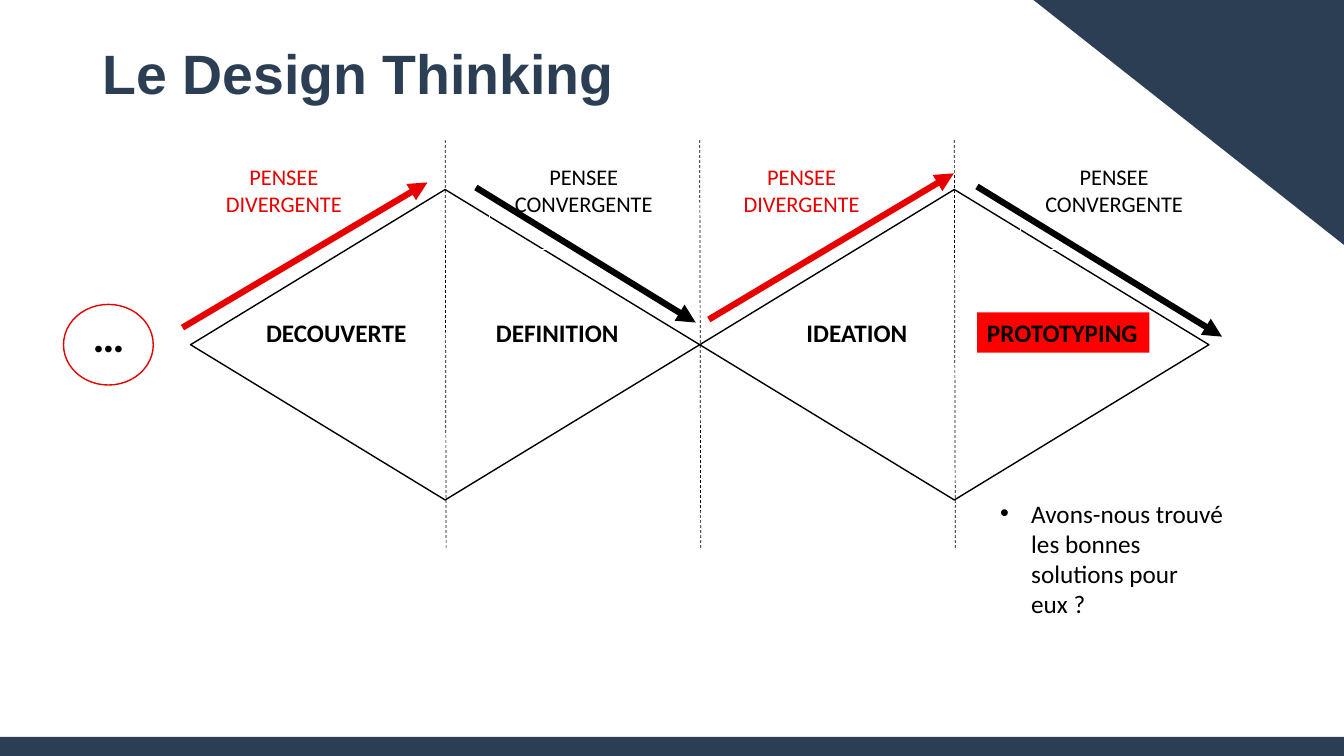
from lxml import etree
from pptx import Presentation
from pptx.dml.color import RGBColor
from pptx.enum.dml import MSO_LINE
from pptx.enum.shapes import MSO_CONNECTOR, MSO_SHAPE
from pptx.enum.text import MSO_ANCHOR, MSO_AUTO_SIZE, PP_ALIGN
from pptx.oxml.ns import qn
from pptx.util import Inches, Pt

LEFT, CENTER = PP_ALIGN.LEFT, PP_ALIGN.CENTER
MIDDLE = MSO_ANCHOR.MIDDLE
GROW = MSO_AUTO_SIZE.SHAPE_TO_FIT_TEXT
DASH = MSO_LINE.DASH
STRAIGHT = MSO_CONNECTOR.STRAIGHT
RECT, OVAL = MSO_SHAPE.RECTANGLE, MSO_SHAPE.OVAL
CORNER, DIAMOND = MSO_SHAPE.RIGHT_TRIANGLE, MSO_SHAPE.FLOWCHART_DECISION

COLORS = {"navy": "2B3E54", "red": "E60000", "mark": "FF0000",
          "black": "000000", "white": "FFFFFF"}
WIDE, HIGH = 13.33, 7.5


def color(name):
    return RGBColor.from_string(COLORS[name])


def add_box(slide, kind, box, fill=None, line=None, width=1):
    shape = slide.shapes.add_shape(kind, *map(Inches, box))
    shape.shadow.inherit = False
    if fill:
        shape.fill.solid()
        shape.fill.fore_color.rgb = color(fill)
    else:
        shape.fill.background()
    if line:
        shape.line.color.rgb = color(line)
        shape.line.width = Pt(width)
    else:
        shape.line.fill.background()
    return shape


def add_line(slide, start, end, ink, width, dash=None, arrow=False):
    line = slide.shapes.add_connector(STRAIGHT, *map(Inches, (*start, *end)))
    line.line.color.rgb = color(ink)
    line.line.width = Pt(width)
    if dash:
        line.line.dash_style = dash
    if arrow:
        stroke = line.line._get_or_add_ln()
        etree.SubElement(stroke, qn("a:tailEnd"), type="triangle")
    etree.SubElement(line._element.spPr, qn("a:effectLst"))


def write(shape, text, size, ink="black", bold=False, align=LEFT, wrap=True):
    frame = shape.text_frame
    frame.word_wrap = wrap
    frame.auto_size = GROW
    frame.vertical_anchor = MSO_ANCHOR.TOP
    para = frame.paragraphs[0]
    para.text = text
    para.alignment = align
    font = para.font
    font.name, font.size, font.bold = "Calibri", Pt(size), bold
    font.color.rgb = color(ink)
    return para


def add_text(slide, box, *args, **style):
    shape = slide.shapes.add_textbox(*map(Inches, box))
    return write(shape, *args, **style)


def add_decor(slide):
    corner = add_box(slide, CORNER, (WIDE - 3.08, 0, 3.08, 2.43), "navy")
    corner.rotation = 180
    add_box(slide, RECT, (0, HIGH - 0.19, WIDE, 0.19), "navy")


def add_title(slide, box):
    title = slide.shapes.title
    title.left, title.top, title.width, title.height = map(Inches, box)
    frame = title.text_frame
    frame.vertical_anchor = MIDDLE
    para = frame.paragraphs[0]
    para.text = "Le Design Thinking"
    para.alignment = LEFT
    para.line_spacing = 0.9
    font = para.font
    font.name, font.size, font.bold = "Arial", Pt(39.6), True
    font.color.rgb = color("navy")


def add_frame(slide, box):
    """Two touching diamonds, cut into four phases by dashed lines."""
    left, top, width, height = box
    pitch = width / 2
    for i in range(2):
        place = (left + i * pitch, top, pitch, height)
        add_box(slide, DIAMOND, place, "white", "black")
    for i in range(1, 4):
        x = left + i * width / 4
        add_line(slide, (x, top - 0.49), (x + 0.01, top + height + 0.49),
                 "black", 0.5, dash=DASH)


def add_phases(slide, top):
    phases = [("DECOUVERTE", 2.54, 1.61), ("DEFINITION", 4.82, 1.43),
              ("IDEATION", 7.9, 1.21), ("PROTOTYPING", 9.69, 1.71)]
    for name, left, width in phases:
        fill = "mark" if name == "PROTOTYPING" else None
        shape = add_box(slide, RECT, (left, top, width, 0.4), fill)
        write(shape, name, 18, bold=True, wrap=False)


def add_start(slide, box):
    left, top, width, height = box
    add_box(slide, OVAL, box, line="red")
    add_text(slide, (left + 0.19, top - 0.02, 0.52, 0.64), "…", 32,
             bold=True, wrap=False)


def add_modes(slide, top):
    """Labels and arrows of the diverging and converging phases."""
    diverge = [((2.04, 1.55), (1.81, 3.25), (4.24, 1.81)),
               ((7.19, 1.52), (7.03, 3.17), (9.46, 1.72))]
    converge = [((4.86, 1.86), (4.72, 1.86), (6.9, 3.2)),
                ((10.12, 1.86), (9.69, 1.85), (12.12, 3.34))]
    modes = [("PENSEE DIVERGENTE", "red", None, 0.64, diverge),
             ("PENSEE CONVERGENTE", "black", "white", 0.91, converge)]
    for text, ink, edge, height, items in modes:
        for (left, width), start, end in items:
            label = add_box(slide, RECT, (left, top, width, height),
                            line=edge, width=0.75)
            write(label, text, 16, ink, align=CENTER)
            add_line(slide, start, end, ink, 4.5, arrow=True)


def add_question(slide, box):
    text = "Avons-nous trouvé les bonnes solutions pour eux ?"
    props = add_text(slide, box, text, 18)._p.get_or_add_pPr()
    props.set("marL", str(Inches(0.31)))
    props.set("indent", str(Inches(-0.31)))
    bullet = etree.Element(qn("a:buChar"), char="•")
    props.insert(0, bullet)
    props.insert(0, etree.Element(qn("a:buFont"), typeface="Arial"))


def main():
    deck = Presentation()
    deck.slide_width, deck.slide_height = Inches(WIDE), Inches(HIGH)
    slide = deck.slides.add_slide(deck.slide_layouts[5])
    add_decor(slide)
    add_title(slide, (0.92, 0.4, 11.5, 0.71))
    add_frame(slide, (1.89, 1.88, 10.1, 3.08))
    add_phases(slide, 3.1)
    add_question(slide, (9.82, 4.89, 2.47, 1.31))
    add_start(slide, (0.63, 3.02, 0.89, 0.8))
    add_modes(slide, 1.57)
    deck.save("out.pptx")


if __name__ == "__main__":
    main()
